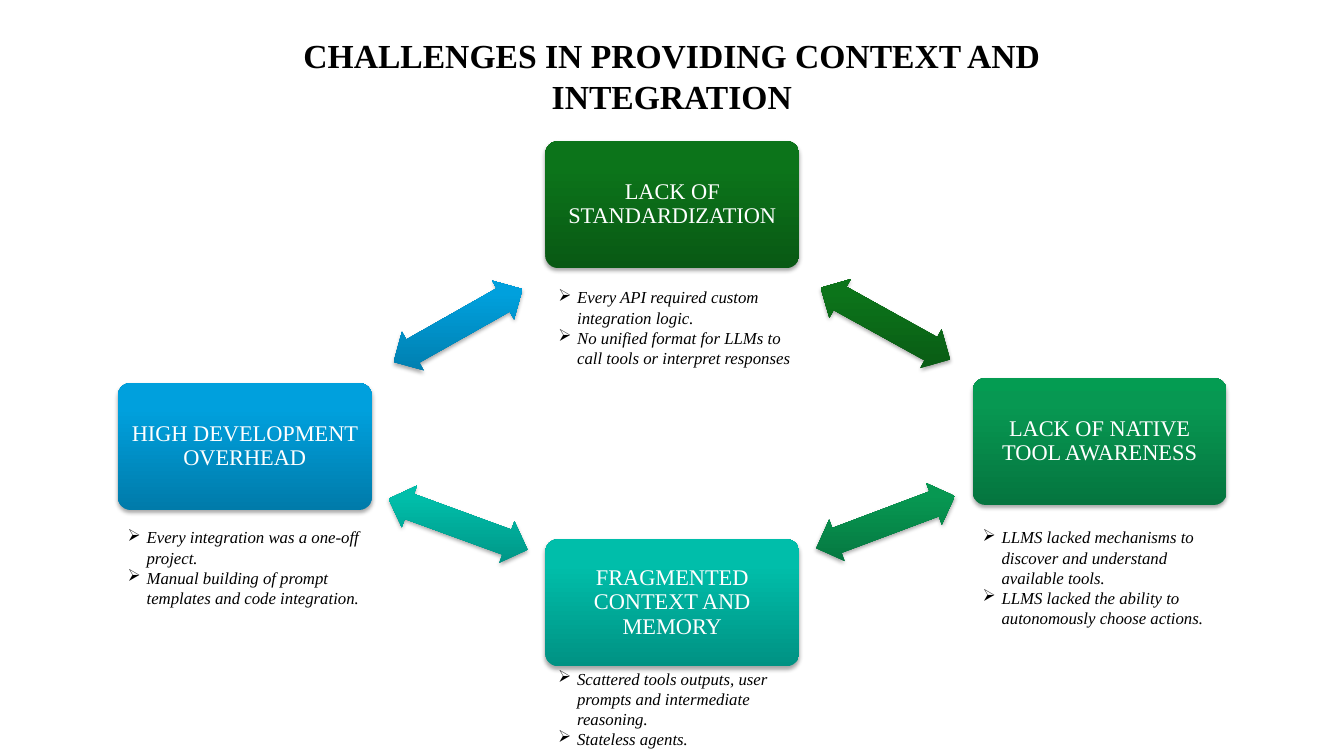
from dataclasses import dataclass

from pptx import Presentation
from pptx.dml.color import RGBColor
from pptx.enum.shapes import MSO_SHAPE as Shape
from pptx.enum.text import MSO_ANCHOR as Anchor, MSO_AUTO_SIZE as AutoSize, PP_ALIGN as Align
from pptx.oxml import parse_xml
from pptx.oxml.ns import nsdecls, qn
from pptx.util import Pt


@dataclass(frozen=True)
class Theme:
    font: str = "Times New Roman"
    ink: str = "000000"
    paper: str = "FFFFFF"
    title_size: int = 24
    card_size: int = 16
    note_size: int = 12
    green: tuple[str, str, str] = ("095914", "0C741A", "0A7619")
    emerald: tuple[str, str, str] = ("05753F", "079852", "049C52")
    teal: tuple[str, str, str] = ("009283", "00BEAA", "00BFAB")
    blue: tuple[str, str, str] = ("007BAA", "00A0DD", "00A0DE")


@dataclass(frozen=True)
class Box:
    left: float
    top: float
    width: float
    height: float

    def lengths(self) -> tuple[Pt, ...]:
        return tuple(Pt(v) for v in (self.left, self.top, self.width, self.height))


@dataclass(frozen=True)
class Challenge:
    heading: str
    points: tuple[str, ...]
    colours: tuple[str, str, str]
    card: Box
    note: Box
    arrow: Box
    rotation: float


THEME = Theme()
STOPS = (0, 80, 100)
CARD_W, CARD_H = 181.4, 90.7
ARROW_W, ARROW_H = 105.8, 31.7
LEFT, MIDDLE, RIGHT = 84.2, 389.5, 694.8
ARROW_LEFT, ARROW_RIGHT = 274.3, 579.6
NOTE_MIDDLE = 391.7
NOTE_SIDE_TOP = 373
TITLE = Box(133.2, 21.6, 693.4, 65.5)
BULLET_INDENT = 13.5


def card_at(left: float, top: float) -> Box:
    return Box(left, top, CARD_W, CARD_H)


def arrow_at(left: float, top: float) -> Box:
    return Box(left, top, ARROW_W, ARROW_H)


CHALLENGES = (
    Challenge(
        "LACK OF STANDARDIZATION",
        ("Every API required custom integration logic.",
         "No unified format for LLMs to call tools or interpret responses"),
        THEME.green, card_at(MIDDLE, 100.8), Box(NOTE_MIDDLE, 201.6, 190, 65.5),
        arrow_at(ARROW_RIGHT, 215.3), 29,
    ),
    Challenge(
        "LACK OF NATIVE TOOL AWARENESS",
        ("LLMS lacked mechanisms to discover and understand available tools.",
         "LLMS lacked the ability to autonomously choose actions."),
        THEME.emerald, card_at(RIGHT, 270), Box(RIGHT, NOTE_SIDE_TOP, 180.7, 80),
        arrow_at(ARROW_RIGHT, 357.1), 159.4,
    ),
    Challenge(
        "FRAGMENTED CONTEXT AND MEMORY",
        ("Scattered tools outputs, user prompts and intermediate reasoning.",
         "Stateless agents."),
        THEME.teal, card_at(MIDDLE, 385.2), Box(NOTE_MIDDLE, 473.8, 177, 65.5),
        arrow_at(ARROW_LEFT, 358.6), 200.1,
    ),
    Challenge(
        "HIGH DEVELOPMENT OVERHEAD",
        ("Every integration was a one-off project.",
         "Manual building of prompt templates and code integration."),
        THEME.blue, card_at(LEFT, 273.6), Box(LEFT, NOTE_SIDE_TOP, 200, 65.5),
        arrow_at(ARROW_LEFT, 216.7), 330.5,
    ),
)


def set_font(p, size: int, colour: str, bold: bool = False, italic: bool = False) -> None:
    f = p.font
    f.name, f.size, f.bold, f.italic = THEME.font, Pt(size), bold, italic
    f.color.rgb = RGBColor.from_string(colour)


def add_glossy(slide, kind: Shape, box: Box, colours: tuple[str, str, str]):
    sp = slide.shapes.add_shape(kind, *box.lengths())
    sp.line.fill.background()
    sp.shadow.inherit = False
    stops = "".join(
        f'<a:gs pos="{pos * 1000}"><a:srgbClr val="{colour}"/></a:gs>'
        for pos, colour in zip(STOPS, colours)
    )
    spPr = sp.element.spPr
    spPr.find(qn("a:prstGeom")).addnext(parse_xml(
        f'<a:gradFill {nsdecls("a")} rotWithShape="0"><a:gsLst>{stops}</a:gsLst>'
        '<a:lin ang="16200000" scaled="0"/></a:gradFill>'
    ))
    spPr.find(qn("a:effectLst")).append(parse_xml(
        f'<a:outerShdw {nsdecls("a")} blurRad="{Pt(3.1)}" dist="{Pt(1.8)}" dir="5400000" '
        'rotWithShape="0"><a:srgbClr val="000000"><a:alpha val="35000"/></a:srgbClr></a:outerShdw>'
    ))
    return sp


def add_card(slide, item: Challenge) -> None:
    sp = add_glossy(slide, Shape.ROUNDED_RECTANGLE, item.card, item.colours)
    sp.adjustments[0] = 0.1
    tf = sp.text_frame
    tf.word_wrap = True
    tf.vertical_anchor = Anchor.MIDDLE
    tf.margin_left = tf.margin_right = tf.margin_top = tf.margin_bottom = Pt(4.8)
    p = tf.paragraphs[0]
    p.text = item.heading
    p.alignment = Align.CENTER
    p.line_spacing = 0.9
    set_font(p, THEME.card_size, THEME.paper)


def add_arrow(slide, item: Challenge) -> None:
    sp = add_glossy(slide, Shape.LEFT_RIGHT_ARROW, item.arrow, item.colours)
    sp.adjustments[0] = 0.6
    sp.adjustments[1] = 0.5
    sp.rotation = item.rotation


def add_note(slide, item: Challenge) -> None:
    tf = slide.shapes.add_textbox(*item.note.lengths()).text_frame
    tf.word_wrap = True
    tf.auto_size = AutoSize.SHAPE_TO_FIT_TEXT
    for i, point in enumerate(item.points):
        p = tf.add_paragraph() if i else tf.paragraphs[0]
        p.text = point
        set_font(p, THEME.note_size, THEME.ink, italic=True)
        pPr = p._p.get_or_add_pPr()
        pPr.set("marL", str(Pt(BULLET_INDENT)))
        pPr.set("indent", str(-Pt(BULLET_INDENT)))
        pPr.insert(0, parse_xml(f'<a:buChar {nsdecls("a")} char="➢"/>'))


def add_title(slide) -> None:
    sp = slide.shapes.title
    sp.left, sp.top, sp.width, sp.height = TITLE.lengths()
    tf = sp.text_frame
    tf.word_wrap = True
    tf.auto_size = AutoSize.NONE
    tf.vertical_anchor = Anchor.TOP
    p = tf.paragraphs[0]
    p.text = "CHALLENGES IN PROVIDING CONTEXT AND INTEGRATION"
    p.alignment = Align.CENTER
    set_font(p, THEME.title_size, THEME.ink, bold=True)


def main() -> None:
    prs = Presentation()
    prs.slide_width, prs.slide_height = Pt(960), Pt(540)
    slide = prs.slides.add_slide(prs.slide_layouts[5])
    add_title(slide)
    for item in CHALLENGES:
        add_card(slide, item)
        add_arrow(slide, item)
    for item in CHALLENGES:
        add_note(slide, item)
    prs.save("out.pptx")


if __name__ == "__main__":
    main()
